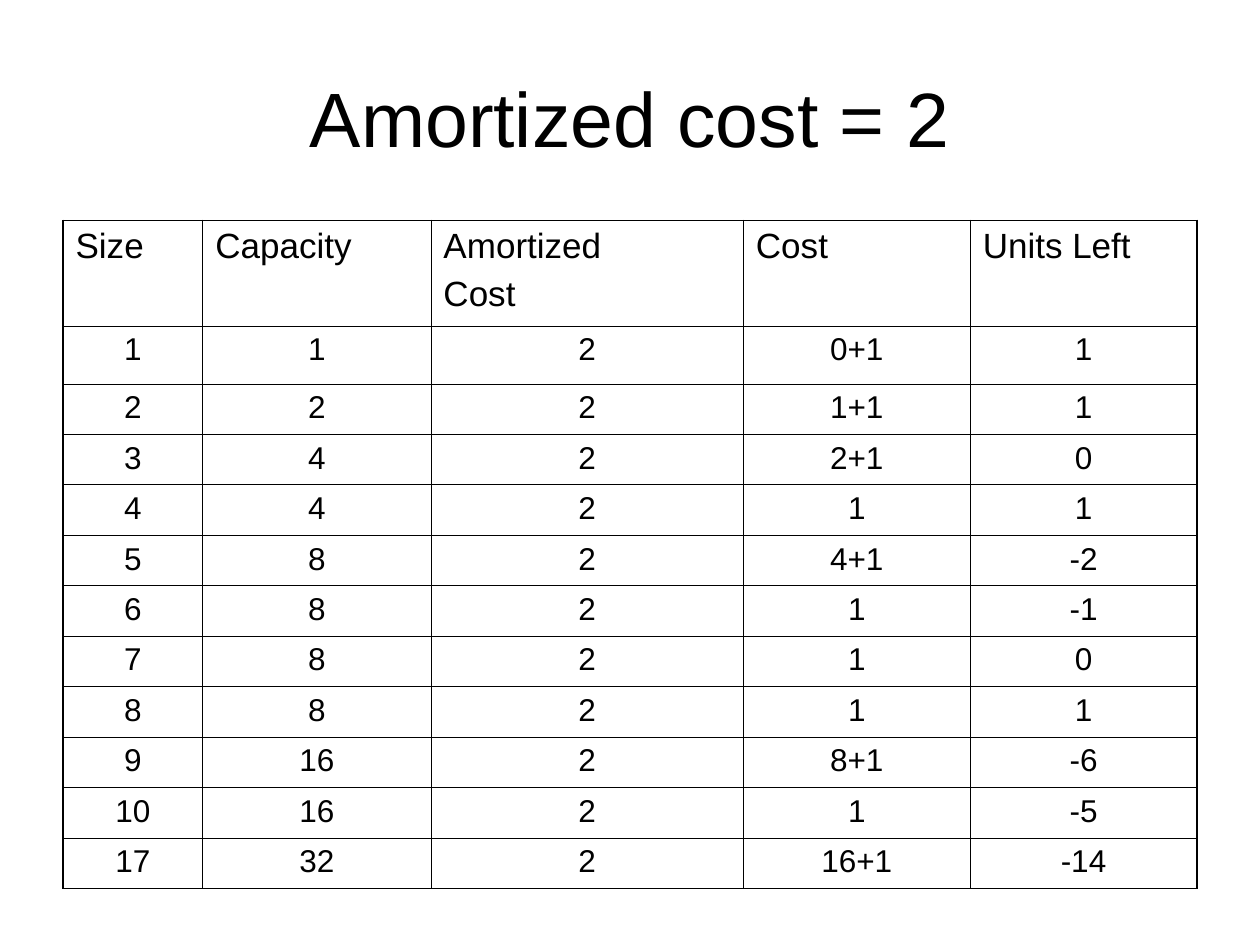
from dataclasses import dataclass

from lxml import etree
from pptx import Presentation
from pptx.dml.color import RGBColor
from pptx.enum.text import MSO_ANCHOR, PP_ALIGN
from pptx.oxml.ns import qn
from pptx.util import Inches, Pt

LEFT, CENTER = PP_ALIGN.LEFT, PP_ALIGN.CENTER
MIDDLE = MSO_ANCHOR.MIDDLE
GRID_COLS, GRID_ROWS = 100, 75


@dataclass(frozen=True)
class Theme:
    font: str = "Arial"
    ink: str = "000000"
    title: float = 44
    header: float = 20
    body: float = 18
    inner_line: float = 0.45
    outer_line: float = 1.08


def write_text(tf, text, theme, size, align=LEFT, space_before=0):
    """Fill a text frame, one paragraph per line of text."""
    for i, line in enumerate(text.split("\n")):
        p = tf.add_paragraph() if i else tf.paragraphs[0]
        p.alignment = align
        p.space_before = Pt(space_before)
        r = p.add_run()
        r.text = line
        r.font.name = theme.font
        r.font.size = Pt(size)
        r.font.color.rgb = RGBColor.from_string(theme.ink)


def set_border(cell, side, width, color):
    """Draw one side of a cell; call in the order L, R, T, B."""
    ln = etree.SubElement(cell._tc.get_or_add_tcPr(), qn(f"a:ln{side}"), w=str(Pt(width)))
    fill = etree.SubElement(ln, qn("a:solidFill"))
    etree.SubElement(fill, qn("a:srgbClr"), val=color)


class SlideBuilder:
    def __init__(self, prs, theme):
        self.theme = theme
        self.col = prs.slide_width / GRID_COLS
        self.row = prs.slide_height / GRID_ROWS
        self.s = prs.slides.add_slide(prs.slide_layouts[6])

    def box(self, x, y, w, h):
        return (round(x * self.col), round(y * self.row),
                round(w * self.col), round(h * self.row))

    def title(self, text, x, y, w, h):
        tf = self.s.shapes.add_textbox(*self.box(x, y, w, h)).text_frame
        tf.word_wrap = True
        tf.vertical_anchor = MIDDLE
        write_text(tf, text, self.theme, self.theme.title, align=CENTER)

    def table(self, rows, x, y, widths, heights):
        frame = self.s.shapes.add_table(
            len(rows), len(widths), *self.box(x, y, sum(widths), sum(heights)))
        table = frame.table
        table.first_row = table.horz_banding = False
        for column, width in zip(table.columns, widths):
            column.width = round(width * self.col)
        for row, height in zip(table.rows, heights):
            row.height = round(height * self.row)
        for i, values in enumerate(rows):
            for j, value in enumerate(values):
                outer = {"L": j == 0, "R": j == len(widths) - 1,
                         "T": i == 0, "B": i == len(rows) - 1}
                self.cell(table.cell(i, j), value, i == 0, outer)

    def cell(self, cell, value, is_header, outer):
        t = self.theme
        size = t.header if is_header else t.body
        write_text(cell.text_frame, value, t, size,
                   align=LEFT if is_header else CENTER, space_before=size / 4)
        for side, is_outer in outer.items():
            set_border(cell, side, t.outer_line if is_outer else t.inner_line, t.ink)
        cell.fill.background()


HEADER = ("Size", "Capacity", "Amortized\nCost", "Cost", "Units Left")
AMORTIZED_COST = "2"
# size, capacity, cost, units left
INSERTIONS = [
    ("1", "1", "0+1", "1"),
    ("2", "2", "1+1", "1"),
    ("3", "4", "2+1", "0"),
    ("4", "4", "1", "1"),
    ("5", "8", "4+1", "-2"),
    ("6", "8", "1", "-1"),
    ("7", "8", "1", "0"),
    ("8", "8", "1", "1"),
    ("9", "16", "8+1", "-6"),
    ("10", "16", "1", "-5"),
    ("17", "32", "16+1", "-14"),
]


def main():
    prs = Presentation()
    prs.slide_width, prs.slide_height = Inches(10), Inches(7.5)
    slide = SlideBuilder(prs, Theme())
    slide.title("Amortized cost = 2", 5, 3, 90, 12.5)
    rows = [HEADER] + [(size, capacity, AMORTIZED_COST, cost, left)
                       for size, capacity, cost, left in INSERTIONS]
    slide.table(rows, 5, 17.5, widths=[11.1, 18.1, 24.8, 18, 18],
                heights=[8.3, 4.6] + [4] * (len(INSERTIONS) - 1))
    prs.save("out.pptx")


if __name__ == "__main__":
    main()
